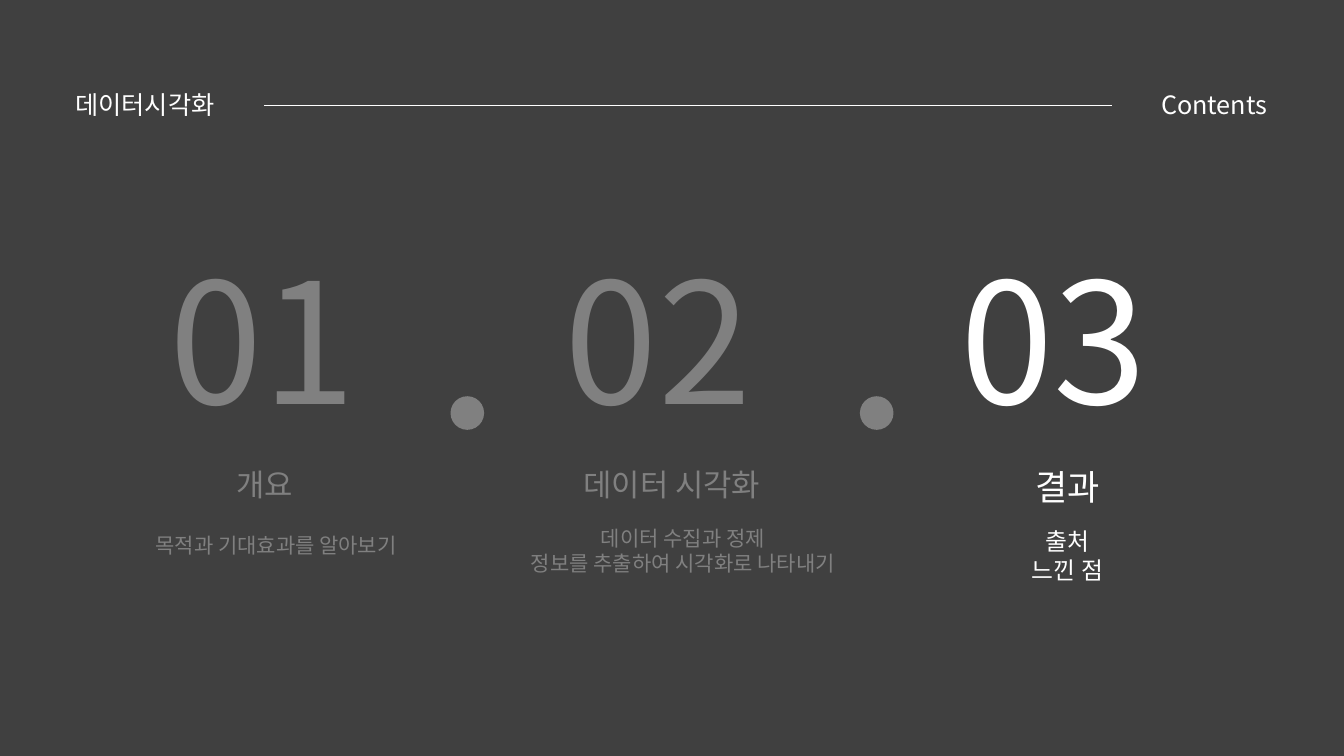
from dataclasses import dataclass

from lxml import etree
from pptx import Presentation
from pptx.dml.color import RGBColor
from pptx.enum.shapes import MSO_CONNECTOR, MSO_SHAPE
from pptx.enum.text import MSO_AUTO_SIZE, PP_ALIGN
from pptx.oxml.ns import qn
from pptx.util import Pt

LEFT, CENTER, RIGHT = PP_ALIGN.LEFT, PP_ALIGN.CENTER, PP_ALIGN.RIGHT
OVAL = MSO_SHAPE.OVAL
STRAIGHT = MSO_CONNECTOR.STRAIGHT
GROW = MSO_AUTO_SIZE.SHAPE_TO_FIT_TEXT


@dataclass(frozen=True)
class Theme:
    font: str = "Noto Sans CJK KR"
    background: RGBColor = RGBColor(0x40, 0x40, 0x40)
    muted: RGBColor = RGBColor(0x80, 0x80, 0x80)
    bright: RGBColor = RGBColor(0xFF, 0xFF, 0xFF)
    number: int = 120
    title: int = 22
    active_title: int = 25
    detail: int = 15
    active_detail: int = 17
    header: int = 18


class Painter:
    def __init__(self, page, theme):
        self.page = page
        self.theme = theme
        fill = page.background.fill
        fill.solid()
        fill.fore_color.rgb = theme.background

    def text(self, content, left, top, width, height, size, color, align=CENTER):
        box = self.page.shapes.add_textbox(Pt(left), Pt(top), Pt(width), Pt(height))
        frame = box.text_frame
        frame.text = content
        frame.word_wrap = False
        frame.auto_size = GROW
        for para in frame.paragraphs:
            para.alignment = align
            for span in para.runs:
                span.font.name = self.theme.font
                span.font.size = Pt(size)
                span.font.color.rgb = color
                # Korean glyphs use the East Asian typeface
                east_asian = etree.SubElement(span.font._element, qn("a:ea"))
                east_asian.set("typeface", self.theme.font)

    def dot(self, left, top, size, color):
        shape = self.page.shapes.add_shape(OVAL, Pt(left), Pt(top), Pt(size), Pt(size))
        shape.shadow.inherit = False
        shape.fill.solid()
        shape.fill.fore_color.rgb = color
        shape.line.fill.background()

    def rule(self, left, right, y, color, weight):
        line = self.page.shapes.add_connector(STRAIGHT, Pt(left), Pt(y), Pt(right), Pt(y))
        line.line.color.rgb = color
        line.line.width = Pt(weight)
        etree.SubElement(line._element.spPr, qn("a:effectLst"))


deck = Presentation()
deck.slide_width, deck.slide_height = Pt(960), Pt(540)
theme = Theme()
painter = Painter(deck.slides.add_slide(deck.slide_layouts[6]), theme)

# Header
painter.text("데이터시각화", 46.8, 60.5, 124.6, 28.8, theme.header, theme.bright, LEFT)
painter.rule(188.6, 794.2, 75.3, theme.bright, 0.5)
painter.text("Contents", 816.5, 60.5, 95.8, 28.8, theme.header, theme.bright, RIGHT)

# Sections: title, its centre and width, detail, its centre, top, width and height
SECTIONS = [
    ("개요", 189, 56.9, "목적과 기대효과를 알아보기", 197.3, 376.6, 197.3, 25.2),
    ("데이터 시각화", 479.9, 149, "데이터 수집과 정제\n정보를 추출하여 시각화로 나타내기",
     487.8, 371.5, 245.5, 43.9),
    ("결과", 762.5, 63.4, "출처\n느낀 점", 762.5, 373, 69.1, 48.5),
]
ACTIVE = 2
NUMBER_LEFT, NUMBER_STEP = 113.8, 282.6

for index, section in enumerate(SECTIONS):
    title, title_center, title_width, detail, center, top, width, height = section
    active = index == ACTIVE
    color = theme.bright if active else theme.muted
    title_size = theme.active_title if active else theme.title
    detail_size = theme.active_detail if active else theme.detail
    painter.text(f"{index + 1:02}", NUMBER_LEFT + index * NUMBER_STEP, 165.6,
                 169.2, 152.6, theme.number, color, LEFT)
    painter.text(title, title_center - title_width / 2, 329, title_width,
                 title_size * 1.5, title_size, color)
    painter.text(detail, center - width / 2, top, width, height, detail_size, color)

# Separator dots
for left in (321.8, 614.2):
    painter.dot(left, 283, 24, theme.muted)

deck.save("out.pptx")
